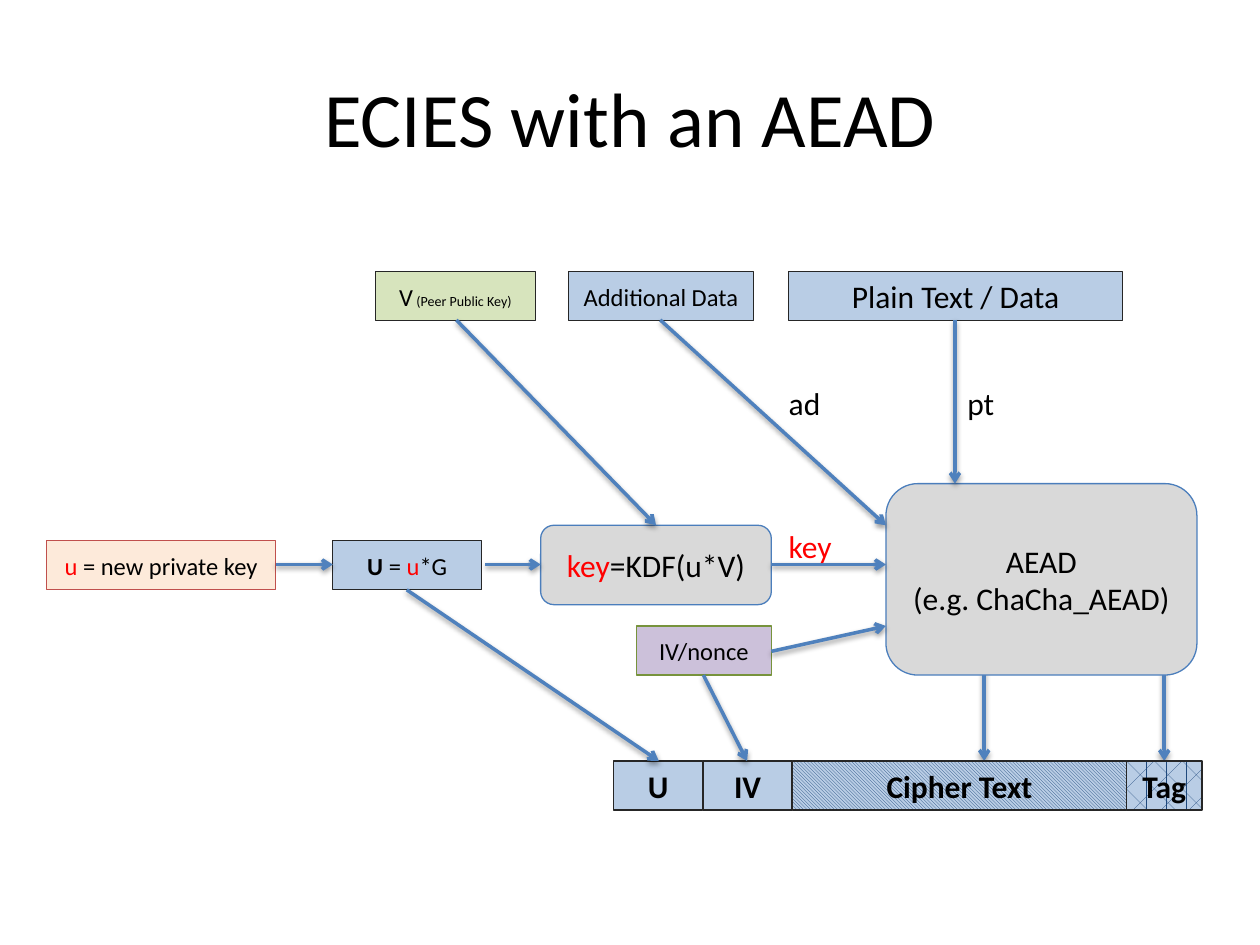
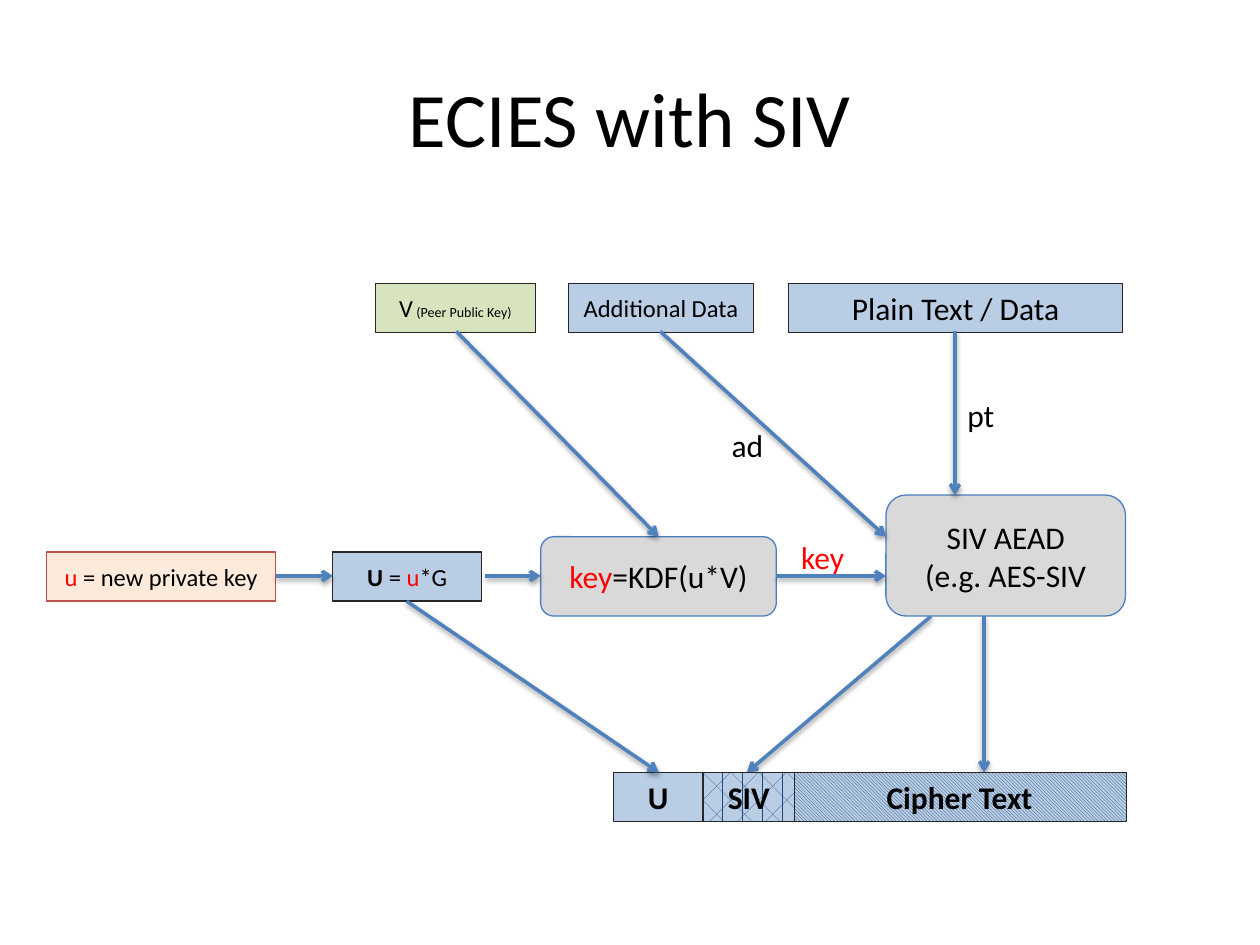
from dataclasses import dataclass
from typing import Optional

from lxml.etree import SubElement
from pptx import Presentation
from pptx.dml.color import RGBColor
from pptx.enum.dml import MSO_PATTERN
from pptx.enum.shapes import MSO_CONNECTOR, MSO_SHAPE
from pptx.enum.text import MSO_ANCHOR, MSO_AUTO_SIZE, PP_ALIGN
from pptx.oxml.ns import qn
from pptx.util import Cm, Pt

# Shared style
FONT = "Calibri"
BLACK = RGBColor(0x00, 0x00, 0x00)
RED = RGBColor(0xFF, 0x00, 0x00)
INK = RGBColor(0x26, 0x26, 0x26)
DATA_BLUE = RGBColor(0xB9, 0xCD, 0xE5)
HATCH_BLUE = RGBColor(0x1F, 0x49, 0x7D)
ARROW_BLUE = RGBColor(0x4F, 0x81, 0xBD)
STEP_GREY = RGBColor(0xD9, 0xD9, 0xD9)
STEP_EDGE = RGBColor(0x4B, 0x7E, 0xBC)
PEER_GREEN = RGBColor(0xD7, 0xE4, 0xBD)
PRIVATE_PEACH = RGBColor(0xFD, 0xEA, 0xDA)
PRIVATE_EDGE = RGBColor(0xC0, 0x50, 0x4D)
NONCE_PURPLE = RGBColor(0xCC, 0xC1, 0xDA)
NONCE_EDGE = RGBColor(0x77, 0x93, 0x3C)

# Shared places, in centimetres
ROW_HEIGHT = 0.99
INPUT_TOP, INPUT_BOTTOM = 5.48, 6.45
KEY_TOP, KEY_MIDDLE, KEY_BOTTOM = 10.9, 11.38, 11.89
KDF_LEFT, KDF_TOP, KDF_BOTTOM = 10.9, 10.59, 12.19
AEAD_LEFT, AEAD_TOP = 17.86, 9.75
NONCE_TOP, NONCE_BOTTOM = 12.62, 13.61
OUTPUT_TOP = 15.34
U_LEFT, SECOND_LEFT, CIPHER_LEFT, TAG_LEFT = 12.37, 14.17, 15.98, 22.71
PLAIN_MIDDLE = 19.25
SECOND_FIELD_HEAD = 15.06


@dataclass(frozen=True)
class Words:
    text: str
    size: float = 18
    color: RGBColor = BLACK
    bold: bool = False


@dataclass(frozen=True)
class Box:
    left: float
    top: float
    width: float
    lines: list[list[Words]]
    fill: RGBColor = DATA_BLUE
    edge: RGBColor = INK
    height: float = ROW_HEIGHT
    rounded: bool = False
    pattern: Optional[MSO_PATTERN] = None


@dataclass(frozen=True)
class Arrow:
    x1: float
    y1: float
    x2: float
    y2: float


@dataclass(frozen=True)
class Label:
    left: float
    top: float
    width: float
    words: Words


@dataclass(frozen=True)
class Diagram:
    title: str
    shift: float
    kdf_width: float
    key_left: float
    ad_left: float
    ad_top: float
    aead: Box
    fields: list[Box]
    outputs: list[Arrow]
    extra_boxes: list[Box]
    extra_arrows: list[Arrow]


def write(frame, lines: list[list[Words]], align: PP_ALIGN) -> None:
    for number, line in enumerate(lines):
        paragraph = frame.add_paragraph() if number else frame.paragraphs[0]
        paragraph.alignment = align
        for words in line:
            run = paragraph.add_run()
            run.text = words.text
            run.font.name = FONT
            run.font.size = Pt(words.size)
            run.font.bold = words.bold
            run.font.color.rgb = words.color


def draw_title(slide, title: str) -> None:
    frame = slide.shapes.add_textbox(Cm(1.27), Cm(0.76), Cm(22.86), Cm(3.18)).text_frame
    frame.word_wrap = True
    frame.vertical_anchor = MSO_ANCHOR.MIDDLE
    write(frame, [[Words(title, 44)]], PP_ALIGN.CENTER)


def draw_box(slide, box: Box, shift: float) -> None:
    kind = MSO_SHAPE.ROUNDED_RECTANGLE if box.rounded else MSO_SHAPE.RECTANGLE
    shape = slide.shapes.add_shape(
        kind, Cm(box.left), Cm(box.top + shift), Cm(box.width), Cm(box.height))
    shape.shadow.inherit = False
    if box.pattern is None:
        shape.fill.solid()
        shape.fill.fore_color.rgb = box.fill
    else:
        shape.fill.patterned()
        shape.fill.pattern = box.pattern
        shape.fill.fore_color.rgb = HATCH_BLUE
        shape.fill.back_color.rgb = box.fill
    shape.line.color.rgb = box.edge
    shape.line.width = Pt(0.75)
    shape.text_frame.vertical_anchor = MSO_ANCHOR.MIDDLE
    write(shape.text_frame, box.lines, PP_ALIGN.CENTER)


def draw_arrow(slide, arrow: Arrow, shift: float) -> None:
    connector = slide.shapes.add_connector(
        MSO_CONNECTOR.STRAIGHT, Cm(arrow.x1), Cm(arrow.y1 + shift),
        Cm(arrow.x2), Cm(arrow.y2 + shift))
    connector.line.color.rgb = ARROW_BLUE
    connector.line.width = Pt(2)
    properties = connector._element.spPr
    SubElement(properties.find(qn("a:ln")), qn("a:tailEnd"), type="arrow")
    # Soft shadow straight below the line
    effects = SubElement(properties, qn("a:effectLst"))
    shadow = SubElement(effects, qn("a:outerShdw"), blurRad=str(Pt(3.1)),
                        dist=str(Pt(1.6)), dir="5400000", rotWithShape="0")
    tone = SubElement(shadow, qn("a:srgbClr"), val=str(BLACK))
    SubElement(tone, qn("a:alpha"), val="38000")


def draw_label(slide, label: Label, shift: float) -> None:
    frame = slide.shapes.add_textbox(
        Cm(label.left), Cm(label.top + shift), Cm(label.width), Cm(1.02)).text_frame
    frame.word_wrap = False
    frame.auto_size = MSO_AUTO_SIZE.SHAPE_TO_FIT_TEXT
    write(frame, [[label.words]], PP_ALIGN.LEFT)


def output_field(left: float, width: float, name: str,
                 pattern: Optional[MSO_PATTERN] = None) -> Box:
    return Box(left, OUTPUT_TOP, width, [[Words(name, bold=True)]], pattern=pattern)


def aead_box(width: float, height: float, *lines: str) -> Box:
    return Box(AEAD_LEFT, AEAD_TOP, width, [[Words(line)] for line in lines],
               STEP_GREY, STEP_EDGE, height, rounded=True)


# Boxes and arrows on both slides
INPUTS = [
    Box(15.9, INPUT_TOP, 6.73, [[Words("Plain Text / Data")]]),
    Box(11.46, INPUT_TOP, 3.73, [[Words("Additional Data", 14)]]),
    Box(7.57, INPUT_TOP, 3.23, [[Words("V", 14), Words(" (Peer Public Key)", 8)]],
        PEER_GREEN),
]
KEYS = [
    Box(6.71, KEY_TOP, 3, [[Words("U", 14, bold=True), Words(" =", 14),
                            Words(" u", 14, RED), Words("*G", 14)]]),
    Box(0.94, KEY_TOP, 4.62, [[Words("u ", 14, RED), Words("= new private key", 14)]],
        PRIVATE_PEACH, PRIVATE_EDGE),
]
U_FIELD = output_field(U_LEFT, 1.8, "U")
CIPHER_FIELD = output_field(CIPHER_LEFT, 6.73, "Cipher Text",
                            MSO_PATTERN.LIGHT_DOWNWARD_DIAGONAL)
CIPHER_ARROW = Arrow(19.84, KDF_BOTTOM, 19.84, OUTPUT_TOP)
SHARED_ARROWS = [
    Arrow(5.56, KEY_MIDDLE, 6.71, KEY_MIDDLE),
    Arrow(9.78, KEY_MIDDLE, KDF_LEFT, KEY_MIDDLE),
    Arrow(8.2, KEY_BOTTOM, 13.28, OUTPUT_TOP),
    Arrow(PLAIN_MIDDLE, INPUT_BOTTOM, PLAIN_MIDDLE, AEAD_TOP),
    Arrow(13.31, INPUT_BOTTOM, AEAD_LEFT, KDF_TOP),
]

DIAGRAMS = [
    Diagram(
        "ECIES with an AEAD", 0, 4.65, 15.65, 15.65, 7.62,
        aead_box(6.27, 3.86, "AEAD", "(e.g. ChaCha_AEAD)"),
        [U_FIELD, output_field(SECOND_LEFT, 1.8, "IV"), CIPHER_FIELD,
         output_field(TAG_LEFT, 1.52, "Tag", MSO_PATTERN.DIVOT)],
        [Arrow(23.47, KDF_BOTTOM, 23.47, OUTPUT_TOP), CIPHER_ARROW],
        [Box(12.83, NONCE_TOP, 2.72, [[Words("IV/nonce", 14)]], NONCE_PURPLE, NONCE_EDGE)],
        [Arrow(14.18, NONCE_BOTTOM, SECOND_FIELD_HEAD, OUTPUT_TOP),
         Arrow(15.55, 13.13, AEAD_LEFT, NONCE_TOP)]),
    Diagram(
        "ECIES with SIV", 0.23, 4.75, 15.9, 14.5, 8.23,
        aead_box(4.83, 2.44, "SIV AEAD", "(e.g. AES-SIV"),
        [U_FIELD, CIPHER_FIELD,
         output_field(SECOND_LEFT, 1.85, "SIV", MSO_PATTERN.DIVOT)],
        [CIPHER_ARROW, Arrow(18.77, KDF_BOTTOM, SECOND_FIELD_HEAD, OUTPUT_TOP)],
        [], []),
]


def draw_diagram(slide, diagram: Diagram) -> None:
    draw_title(slide, diagram.title)
    # Output arrows start behind the AEAD box
    for arrow in diagram.outputs:
        draw_arrow(slide, arrow, diagram.shift)
    kdf = Box(KDF_LEFT, KDF_TOP, diagram.kdf_width,
              [[Words("key", color=RED), Words("=KDF(u*V)")]],
              STEP_GREY, STEP_EDGE, KDF_BOTTOM - KDF_TOP, rounded=True)
    for box in [diagram.aead, *diagram.fields, *INPUTS, *KEYS, kdf, *diagram.extra_boxes]:
        draw_box(slide, box, diagram.shift)
    kdf_arrows = [
        Arrow(KDF_LEFT + kdf.width, KEY_MIDDLE, AEAD_LEFT, KEY_MIDDLE),
        Arrow(9.2, INPUT_BOTTOM, KDF_LEFT + kdf.width / 2, KDF_TOP),
    ]
    for arrow in [*SHARED_ARROWS, *kdf_arrows, *diagram.extra_arrows]:
        draw_arrow(slide, arrow, diagram.shift)
    for label in [
        Label(diagram.key_left, 10.49, 1.42, Words("key", color=RED)),
        Label(diagram.ad_left, diagram.ad_top, 1.17, Words("ad")),
        Label(PLAIN_MIDDLE, 7.62, 1.07, Words("pt")),
    ]:
        draw_label(slide, label, diagram.shift)


presentation = Presentation()
presentation.slide_width = Cm(25.4)
presentation.slide_height = Cm(19.05)
blank_layout = presentation.slide_layouts[6]
for diagram in DIAGRAMS:
    draw_diagram(presentation.slides.add_slide(blank_layout), diagram)
presentation.save("out.pptx")
